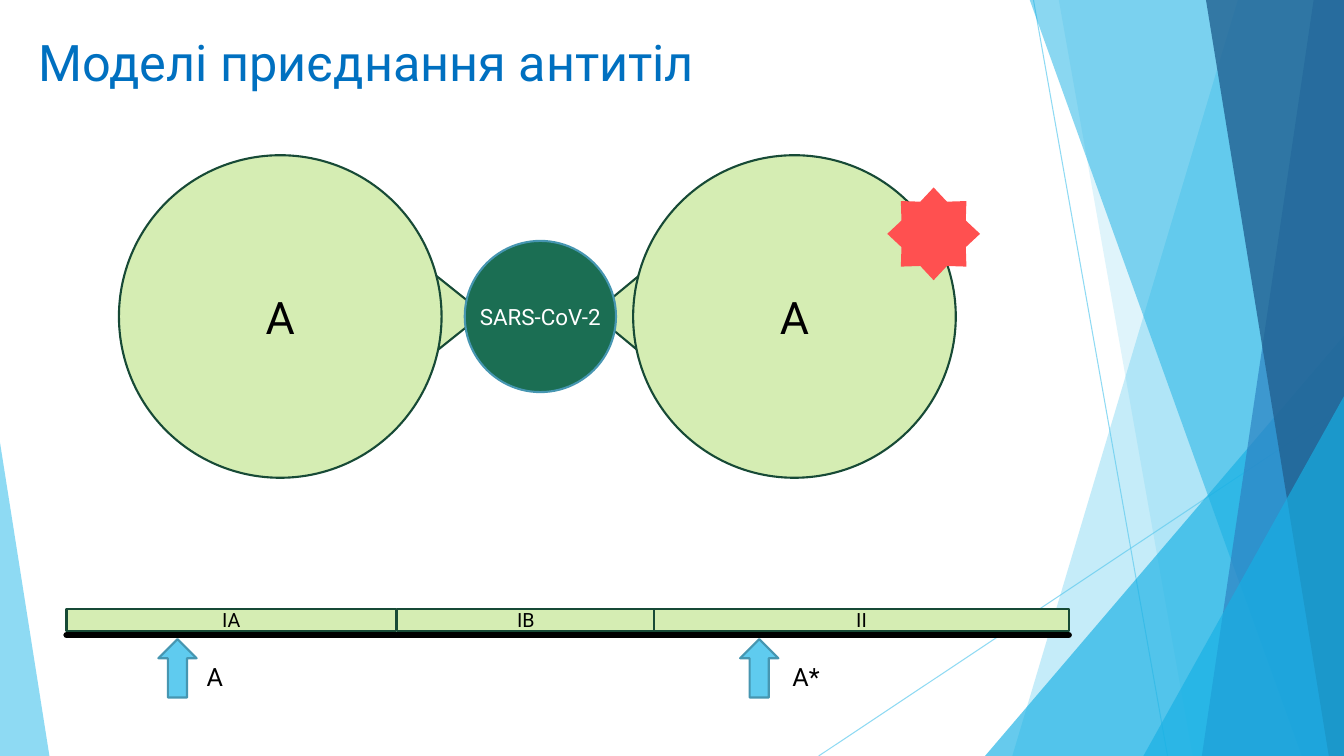
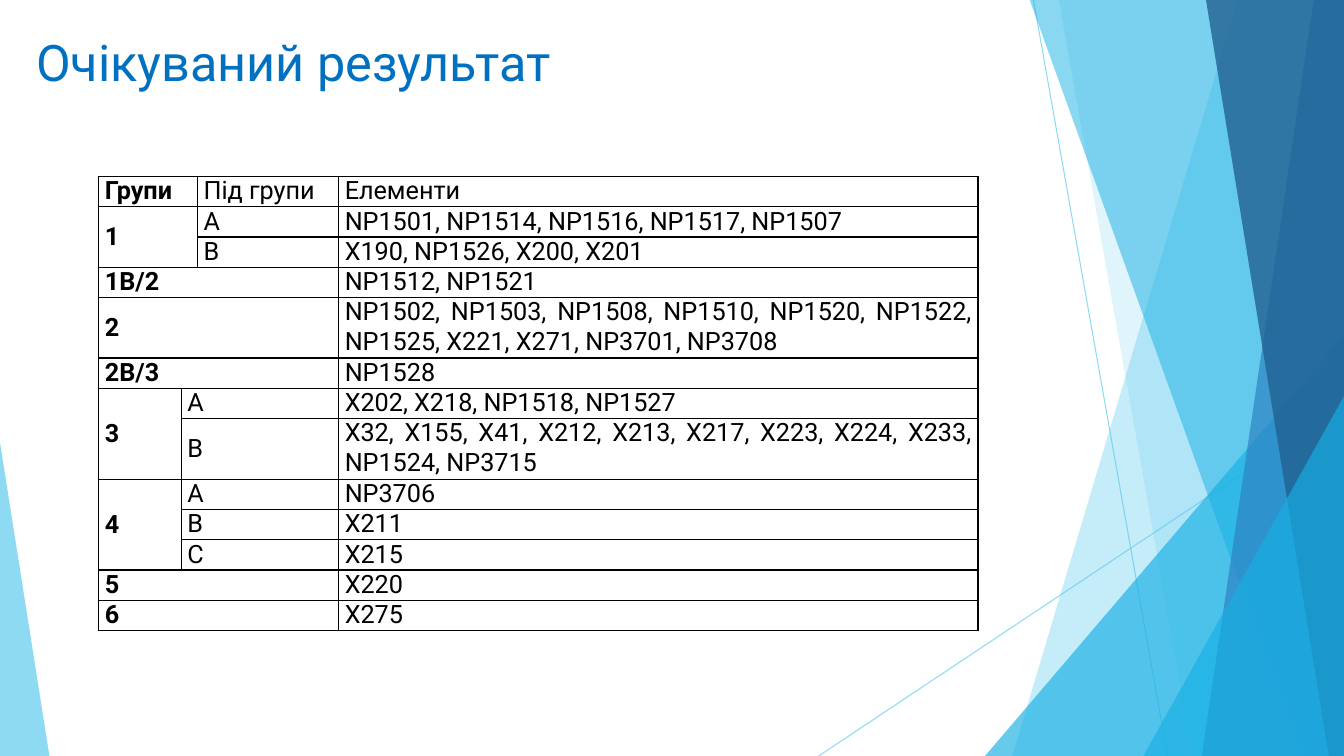
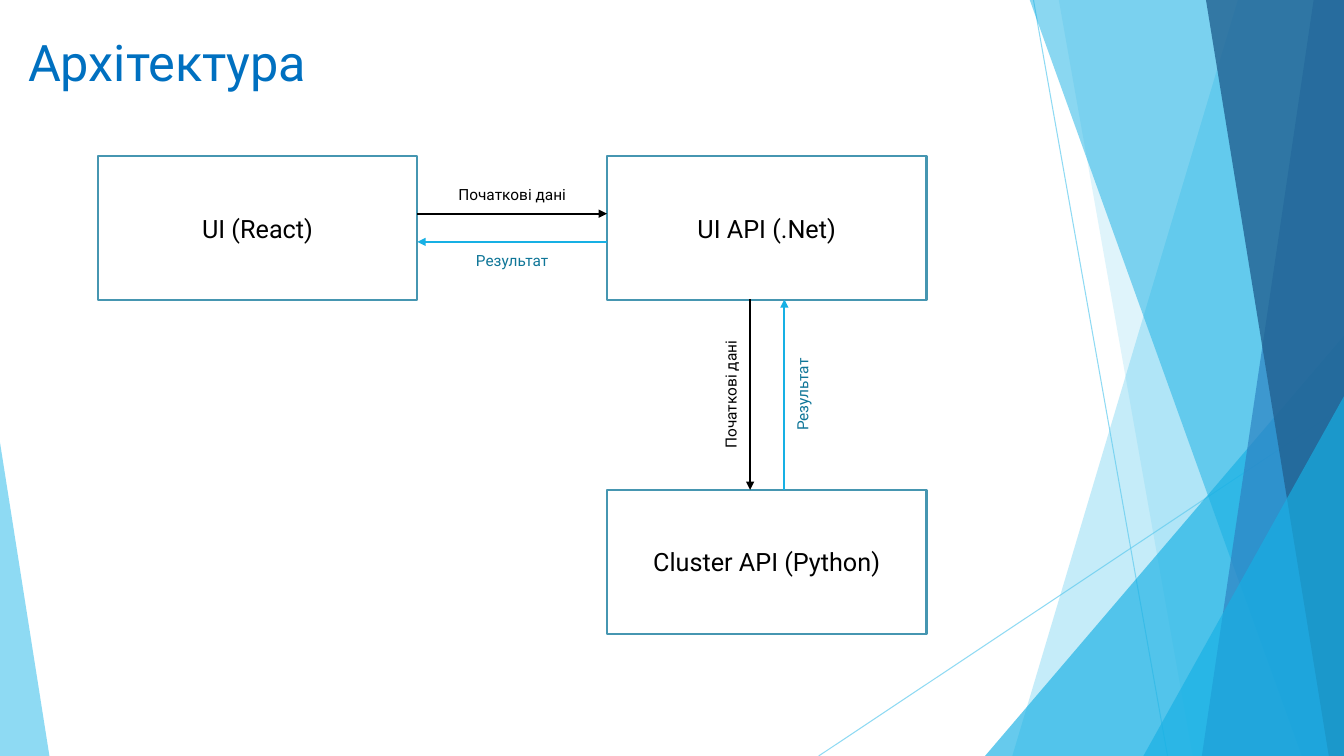
from lxml.etree import SubElement
from pptx import Presentation
from pptx.dml.color import RGBColor
from pptx.enum.shapes import MSO_CONNECTOR, MSO_SHAPE
from pptx.enum.text import MSO_ANCHOR, MSO_AUTO_SIZE, PP_ALIGN
from pptx.oxml.ns import qn
from pptx.util import Inches, Pt

STRAIGHT = MSO_CONNECTOR.STRAIGHT
TRIANGLE = MSO_SHAPE.ISOSCELES_TRIANGLE
ELLIPSE = MSO_SHAPE.OVAL
RECTANGLE = MSO_SHAPE.RECTANGLE
STAR = MSO_SHAPE.STAR_8_POINT
UP_ARROW = MSO_SHAPE.UP_ARROW
TOP, MIDDLE = MSO_ANCHOR.TOP, MSO_ANCHOR.MIDDLE
LEFT, CENTER, JUSTIFY = PP_ALIGN.LEFT, PP_ALIGN.CENTER, PP_ALIGN.JUSTIFY
GROW = MSO_AUTO_SIZE.SHAPE_TO_FIT_TEXT

WIDTH, HEIGHT = 13.33, 7.5
FONT = "Roboto"
COLORS = {
    "title": "0070C0",
    "black": "000000",
    "white": "FFFFFF",
    "sky": "5FCBEF",
    "cyan": "17B0E4",
    "blue": "2E83C3",
    "navy": "226292",
    "outline": "4696B1",
    "result": "0F7698",
    "lime": "D5EDB3",
    "forest": "174A36",
    "virus": "1B6E53",
    "red": "FF5050",
}


class Deck:
    def __init__(self):
        self.file = Presentation()
        self.file.slide_width = Inches(WIDTH)
        self.file.slide_height = Inches(HEIGHT)
        self.page = None

    def color(self, name):
        return RGBColor.from_string(COLORS[name])

    def fade(self, item, opacity, parent=""):
        mark = item.element.spPr.find(parent + qn("a:solidFill") + "/" + qn("a:srgbClr"))
        SubElement(mark, qn("a:alpha"), val=str(opacity * 1000))

    def paint(self, shape, fill=None, line=None, opacity=None):
        shape.shadow.inherit = False
        if fill:
            shape.fill.solid()
            shape.fill.fore_color.rgb = self.color(fill)
        else:
            shape.fill.background()
        if line:
            shape.line.color.rgb = self.color(line)
            shape.line.width = Pt(1.5)
        else:
            shape.line.fill.background()
        if opacity:
            self.fade(shape, opacity)

    def set_text(self, frame, text, size, color="black", align=LEFT, bold=False):
        frame.text = text
        for para in frame.paragraphs:
            para.alignment = align
            for span in para.runs:
                span.font.name = FONT
                span.font.size = Pt(size)
                span.font.bold = bold
                span.font.color.rgb = self.color(color)

    def shape(self, kind, left, top, width, height, fill=None, line=None, opacity=None,
              turn=0, apex=None):
        box = self.page.shapes.add_shape(
            kind, Inches(left), Inches(top), Inches(width), Inches(height))
        self.paint(box, fill, line, opacity)
        box.rotation = turn
        if apex is not None:
            box.adjustments[0] = apex
        return box

    def label(self, box, text, size, color="black"):
        box.text_frame.vertical_anchor = MIDDLE
        self.set_text(box.text_frame, text, size, color, CENTER)

    def text(self, left, top, width, height, text, size, color="black", align=LEFT,
             turn=0, grow=True):
        box = self.page.shapes.add_textbox(
            Inches(left), Inches(top), Inches(width), Inches(height))
        box.text_frame.word_wrap = True
        self.set_text(box.text_frame, text, size, color, align)
        if grow:
            box.text_frame.auto_size = GROW
        box.rotation = turn

    def line(self, start, end, color, weight, arrow=False, opacity=None, cap=None):
        link = self.page.shapes.add_connector(
            STRAIGHT, *(Inches(value) for value in (*start, *end)))
        link.line.color.rgb = self.color(color)
        link.line.width = Pt(weight)
        SubElement(link.element.spPr, qn("a:effectLst"))
        stroke = link.element.spPr.find(qn("a:ln"))
        if arrow:
            SubElement(stroke, qn("a:tailEnd"), type="triangle")
        if cap:
            stroke.set("cap", cap)
        if opacity:
            self.fade(link, opacity, qn("a:ln") + "/")

    def band(self, top_left, bottom_left, fill, opacity):
        corners = [(top_left, -0.01), (WIDTH, -0.01), (WIDTH, HEIGHT), (bottom_left, HEIGHT)]
        points = [(Inches(x), Inches(y)) for x, y in corners]
        builder = self.page.shapes.build_freeform(*points[0])
        builder.add_line_segments(points[1:], close=True)
        self.paint(builder.convert_to_shape(), fill, opacity=opacity)

    def wedge(self, left, top, width, apex, fill, opacity):
        self.shape(TRIANGLE, left, top, width, HEIGHT - top, fill, opacity=opacity, apex=apex)

    def start(self, title, left):
        self.page = self.file.slides.add_slide(self.file.slide_layouts[6])
        self.line((10.25, 0), (11.58, HEIGHT), "sky", 0.75, opacity=70)
        self.line((WIDTH, 4.03), (8.12, HEIGHT), "sky", 0.75, opacity=70)
        self.band(12.28, 10.04, "sky", 36)
        self.band(10.5, 11.83, "sky", 20)
        self.wedge(9.77, 3.33, 3.56, 1, "cyan", 66)
        self.band(10.21, 12.91, "cyan", 50)
        self.band(13.03, 11.92, "blue", 70)
        self.band(11.96, 13.18, "navy", 80)
        self.wedge(11.34, 3.93, 1.99, 1, "cyan", 66)
        self.wedge(0, 4.39, 0.49, 0, "sky", 70)
        self.text(left, 0.26, 9.93, 0.82, title, 36, "title", grow=False)

    def cell(self, cell, text, bold, align, anchor):
        cell.margin_left = cell.margin_right = Inches(0.06)
        cell.margin_top = cell.margin_bottom = 0
        cell.vertical_anchor = anchor
        self.set_text(cell.text_frame, text, 18, align=align, bold=bold)
        properties = cell._tc.get_or_add_tcPr()
        for side in ("lnL", "lnR", "lnT", "lnB"):
            edge = SubElement(properties, qn("a:" + side), w=str(Pt(1)))
            fill = SubElement(edge, qn("a:solidFill"))
            SubElement(fill, qn("a:srgbClr"), val=COLORS["black"])
        cell.fill.background()

    def table(self, left, top, height, widths, heights, rows, merges, centered):
        frame = self.page.shapes.add_table(
            len(rows), len(widths), Inches(left), Inches(top),
            Inches(sum(widths)), Inches(height))
        grid = frame.table
        grid.first_row = grid.horz_banding = False
        for column, width in zip(grid.columns, widths):
            column.width = Inches(width)
        for row, row_height in zip(grid.rows, heights):
            row.height = Inches(row_height)
        frame.height = Inches(height)
        for first_row, first_column, last_row, last_column in merges:
            grid.cell(first_row, first_column).merge(grid.cell(last_row, last_column))
        for y, row in enumerate(rows):
            for x, text in enumerate(row):
                group = x == 0 and y > 0
                self.cell(grid.cell(y, x), text, x == 0, LEFT if group else JUSTIFY,
                          MIDDLE if group or (y, x) in centered else TOP)


deck = Deck()

deck.start("Моделі приєднання антитіл", 0.28)
antibodies = [(1.18, (3.73, 2.7, 1.31, 0.82), 90), (6.28, (5.57, 2.63, 1.59, 0.96), 270)]
for left, tip, turn in antibodies:
    deck.shape(TRIANGLE, *tip, "lime", "forest", turn=turn)
    antibody = deck.shape(ELLIPSE, left, 1.54, 3.2, 3.2, "lime", "forest")
    deck.label(antibody, "A", 32)
deck.shape(STAR, 8.8, 1.86, 0.92, 0.92, "red")
virus = deck.shape(ELLIPSE, 4.61, 2.39, 1.5, 1.5, "virus", "outline")
deck.label(virus, "SARS-CoV-2", 16, "white")
virus.text_frame.margin_left = virus.text_frame.margin_right = 0
virus.text_frame.word_wrap = False

deck.line((0.66, 6.3), (10.6, 6.3), "black", 4.5, cap="rnd")
for name, left, width in [("IA", 0.66, 3.27), ("IB", 3.94, 2.55), ("II", 6.49, 4.11)]:
    deck.label(deck.shape(RECTANGLE, left, 6.04, width, 0.22, "lime", "forest"), name, 14)
for name, arrow_left, name_left in [("A", 1.57, 1.95), ("A*", 7.34, 7.76)]:
    deck.shape(UP_ARROW, arrow_left, 6.34, 0.38, 0.58, "sky", "outline")
    deck.text(name_left, 6.51, 0.78, 0.4, name, 18)

deck.start("Очікуваний результат", 0.26)
groups = [
    ("Групи", "", "Під групи", "Елементи"),
    ("1", "", "A", "NP1501, NP1514, NP1516, NP1517, NP1507"),
    ("", "", "B", "X190, NP1526, X200, X201"),
    ("1B/2", "", "", "NP1512, NP1521"),
    ("2", "", "", "NP1502, NP1503, NP1508, NP1510, NP1520, NP1522, "
                  "NP1525, X221, X271, NP3701, NP3708"),
    ("2B/3", "", "", "NP1528"),
    ("3", "A", "", "X202, X218, NP1518, NP1527"),
    ("", "B", "", "X32, X155, X41, X212, X213, X217, X223, X224, X233, NP1524, NP3715"),
    ("4", "A", "", "NP3706"),
    ("", "B", "", "X211"),
    ("", "C", "", "X215"),
    ("5", "", "", "X220"),
    ("6", "", "", "X275"),
]
merges = [(0, 0, 0, 1), (1, 0, 2, 1), (6, 0, 7, 0), (8, 0, 10, 0)]
merges += [(row, 0, row, 2) for row in (3, 4, 5, 11, 12)]
merges += [(row, 1, row, 2) for row in range(6, 11)]
heights = [0.38 if row in (4, 7) else 0.19 for row in range(len(groups))]
deck.table(0.98, 1.75, 4.5, [0.82, 0.16, 1.4, 6.34], heights, groups, merges, {(7, 1)})

deck.start("Архітектура", 0.18)
services = [("UI (React)", 0.97, 1.55), ("UI API (.Net)", 6.02, 1.55),
            ("Cluster API (Python)", 6.02, 4.86)]
for name, left, top in services:
    deck.label(deck.shape(RECTANGLE, left, top, 3.17, 1.43, line="outline"), name, 18)
request = ("Початкові дані", "black", "black")
response = ("Результат", "cyan", "result")
flows = [
    (request, (4.14, 2.12), (6.02, 2.12), (4.14, 1.79), 0),
    (response, (6.02, 2.4), (4.14, 2.4), (4.14, 2.44), 0),
    (request, (7.44, 2.97), (7.44, 4.86), (6.31, 3.77), 270),
    (response, (7.78, 4.86), (7.78, 2.97), (7.02, 3.77), 270),
]
for (name, line_color, text_color), start, end, corner, turn in flows:
    deck.line(start, end, line_color, 1.5, arrow=True)
    deck.text(*corner, 1.88, 0.29, name, 11, text_color, CENTER, turn)

deck.file.save("out.pptx")
